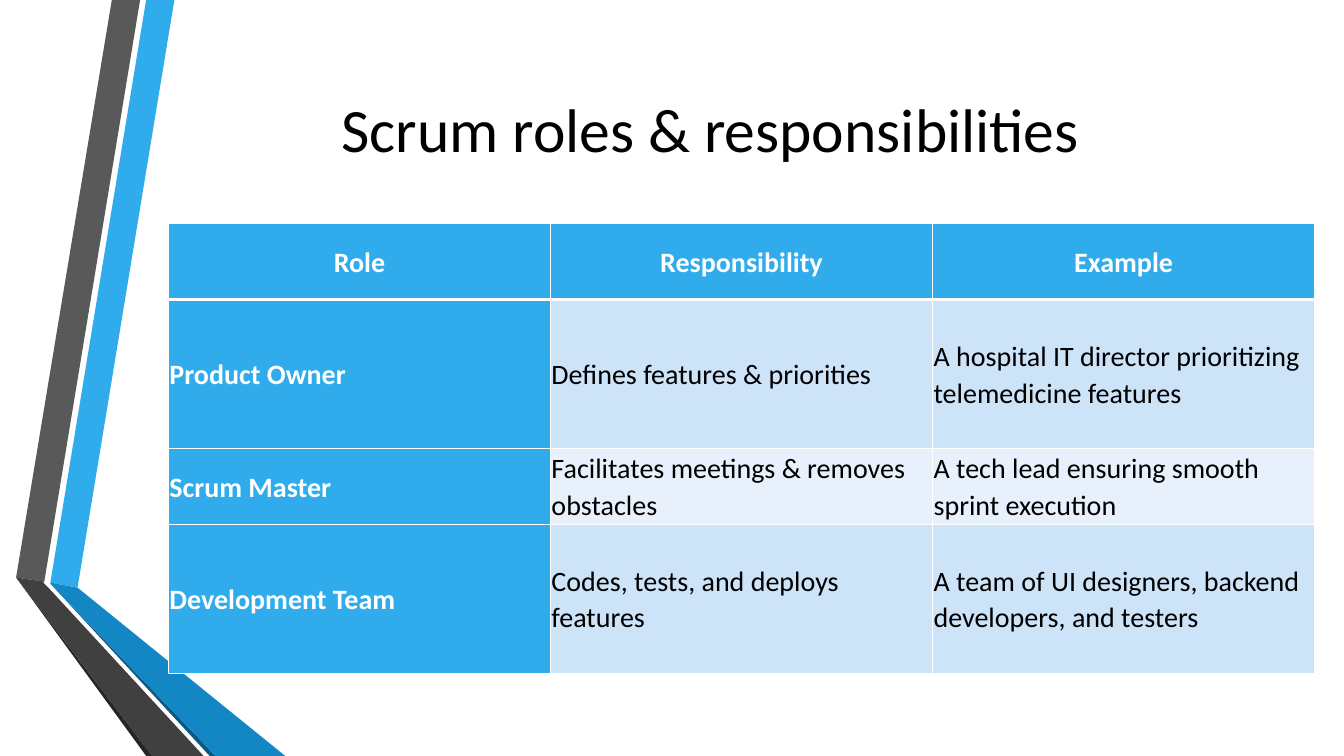
from lxml import etree
from pptx import Presentation
from pptx.dml.color import RGBColor
from pptx.enum import text
from pptx.oxml import ns
from pptx.util import Inches, Pt

COLORS = {
    "blue": "30ACEC", "mid_blue": "1287C3", "deep_blue": "0C5A82",
    "gray": "595959", "dark_gray": "404040", "near_black": "262626",
    "band": "CDE3F8", "light_band": "E8F1FB",
    "white": "FFFFFF", "black": "000000",
}
FONT = "Calibri"
TITLE = "Scrum roles & responsibilities"
ROLES = [
    ("Role", "Responsibility", "Example"),
    ("Product Owner", "Defines features & priorities",
     "A hospital IT director prioritizing telemedicine features"),
    ("Scrum Master", "Facilitates meetings & removes obstacles",
     "A tech lead ensuring smooth sprint execution"),
    ("Development Team", "Codes, tests, and deploys features",
     "A team of UI designers, backend developers, and testers"),
]
ROW_HEIGHTS = [0.75, 1.48, 0.75, 1.48]
COL_WIDTH = 3.79
RIBBONS = [
    ("blue", [(0.5, 5.78), (0.77, 5.83), (1.73, 0), (1.45, 0)]),
    ("gray", [(1.39, 0), (1.11, 0), (0.16, 5.73), (0.44, 5.77)]),
    ("near_black", [(0.16, 5.73), (1.45, 7.5), (1.51, 7.5)]),
    ("deep_blue", [(0.5, 5.79), (2.08, 7.5), (2.14, 7.5)]),
    ("mid_blue", [(0.5, 5.79), (2.14, 7.5), (2.83, 7.5), (0.77, 5.83), (0.5, 5.78)]),
    ("dark_gray", [(2.02, 7.5), (0.48, 5.83), (0.43, 5.78), (0.44, 5.77),
                   (0.16, 5.73), (1.51, 7.5)]),
]


def rgb(name):
    return RGBColor.from_string(COLORS[name])


def add_ribbon(slide, color, points):
    corners = [(Inches(x), Inches(y)) for x, y in points]
    builder = slide.shapes.build_freeform(*corners[0], scale=1.0)
    builder.add_line_segments(corners[1:], close=True)
    sp = builder.convert_to_shape()
    sp.shadow.inherit = False
    sp.fill.solid()
    sp.fill.fore_color.rgb = rgb(color)
    sp.line.fill.background()


def style_text(p, size, color, bold=False, centered=False):
    p.alignment = text.PP_ALIGN.CENTER if centered else text.PP_ALIGN.LEFT
    p.font.name = FONT
    p.font.size = Pt(size)
    p.font.bold = bold
    p.font.color.rgb = rgb(color)


def set_borders(cell, widths):
    props = cell._tc.get_or_add_tcPr()
    for i, (side, width) in enumerate(widths.items()):
        ln = etree.Element(ns.qn(f"a:ln{side}"), w=str(Pt(width)))
        fill = etree.SubElement(ln, ns.qn("a:solidFill"))
        etree.SubElement(fill, ns.qn("a:srgbClr"), val=COLORS["white"])
        props.insert(i, ln)


def fill_cell(cell, words, row, col):
    header = row == 0
    strong = header or col == 0
    cell.text = words
    cell.vertical_anchor = text.MSO_ANCHOR.MIDDLE
    cell.margin_left = cell.margin_right = Inches(0.01)
    cell.margin_top = cell.margin_bottom = Inches(0.01)
    p = cell.text_frame.paragraphs[0]
    p.line_spacing = 1.07
    style_text(p, 20, "white" if strong else "black", strong, header)
    cell.fill.solid()
    band = "band" if row % 2 else "light_band"
    cell.fill.fore_color.rgb = rgb("blue" if strong else band)
    set_borders(cell, {"L": 1, "R": 1, "T": 3 if row == 1 else 1, "B": 3 if header else 1})


def main():
    prs = Presentation()
    prs.slide_width, prs.slide_height = Inches(13.33), Inches(7.5)
    slide = prs.slides.add_slide(prs.slide_layouts[6])

    for color, points in RIBBONS:
        add_ribbon(slide, color, points)

    box = slide.shapes.add_textbox(Inches(1.57), Inches(0.31), Inches(10.96), Inches(1.92))
    tf = box.text_frame
    tf.word_wrap = True
    tf.vertical_anchor = text.MSO_ANCHOR.MIDDLE
    tf.text = TITLE
    style_text(tf.paragraphs[0], 44, "black", centered=True)

    table = slide.shapes.add_table(
        len(ROLES), len(ROLES[0]), Inches(1.67), Inches(2.22),
        Inches(COL_WIDTH * len(ROLES[0])), Inches(sum(ROW_HEIGHTS))).table
    for column in table.columns:
        column.width = Inches(COL_WIDTH)
    for r, (height, entries) in enumerate(zip(ROW_HEIGHTS, ROLES)):
        table.rows[r].height = Inches(height)
        for c, words in enumerate(entries):
            fill_cell(table.cell(r, c), words, r, c)

    prs.save("out.pptx")


if __name__ == "__main__":
    main()
